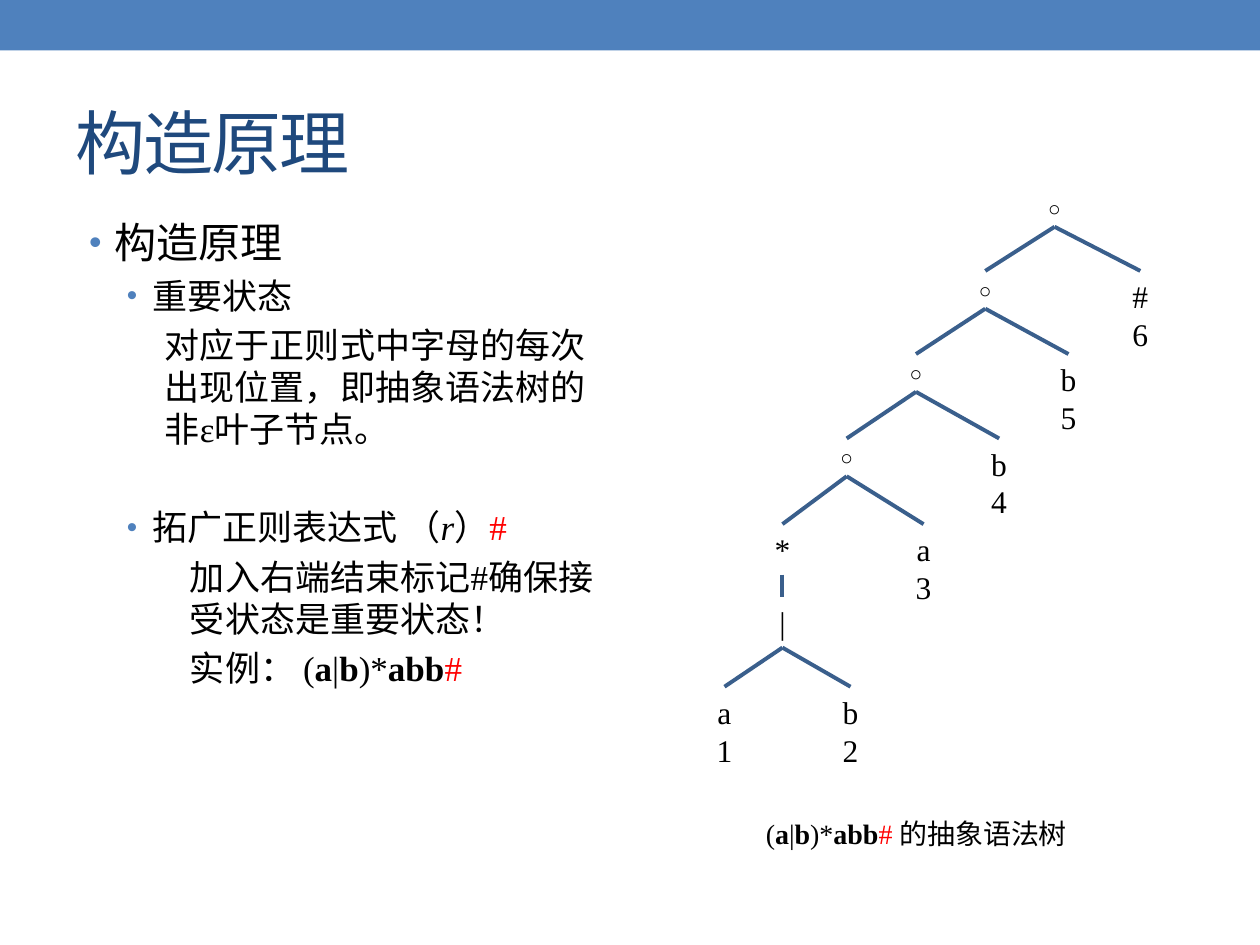
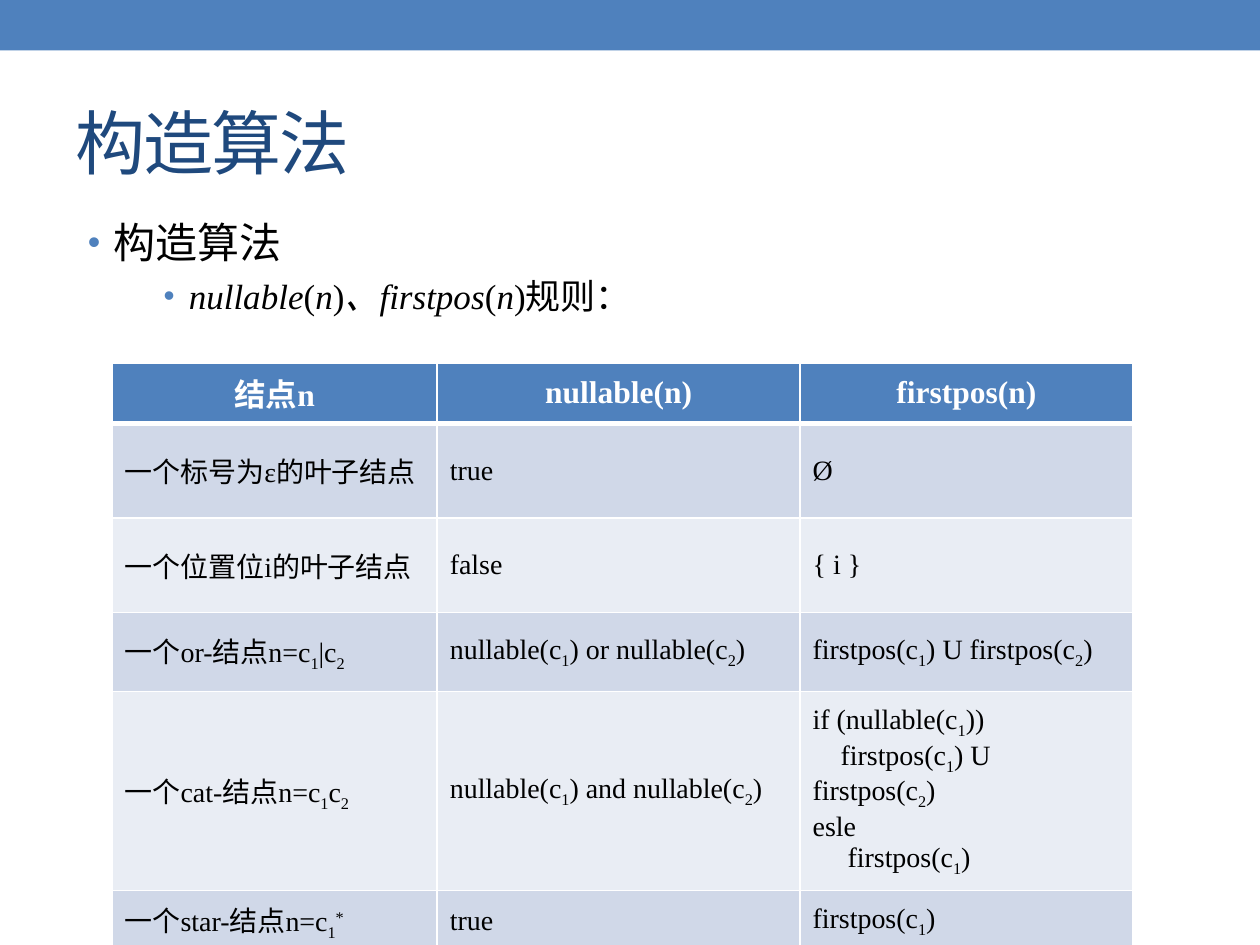
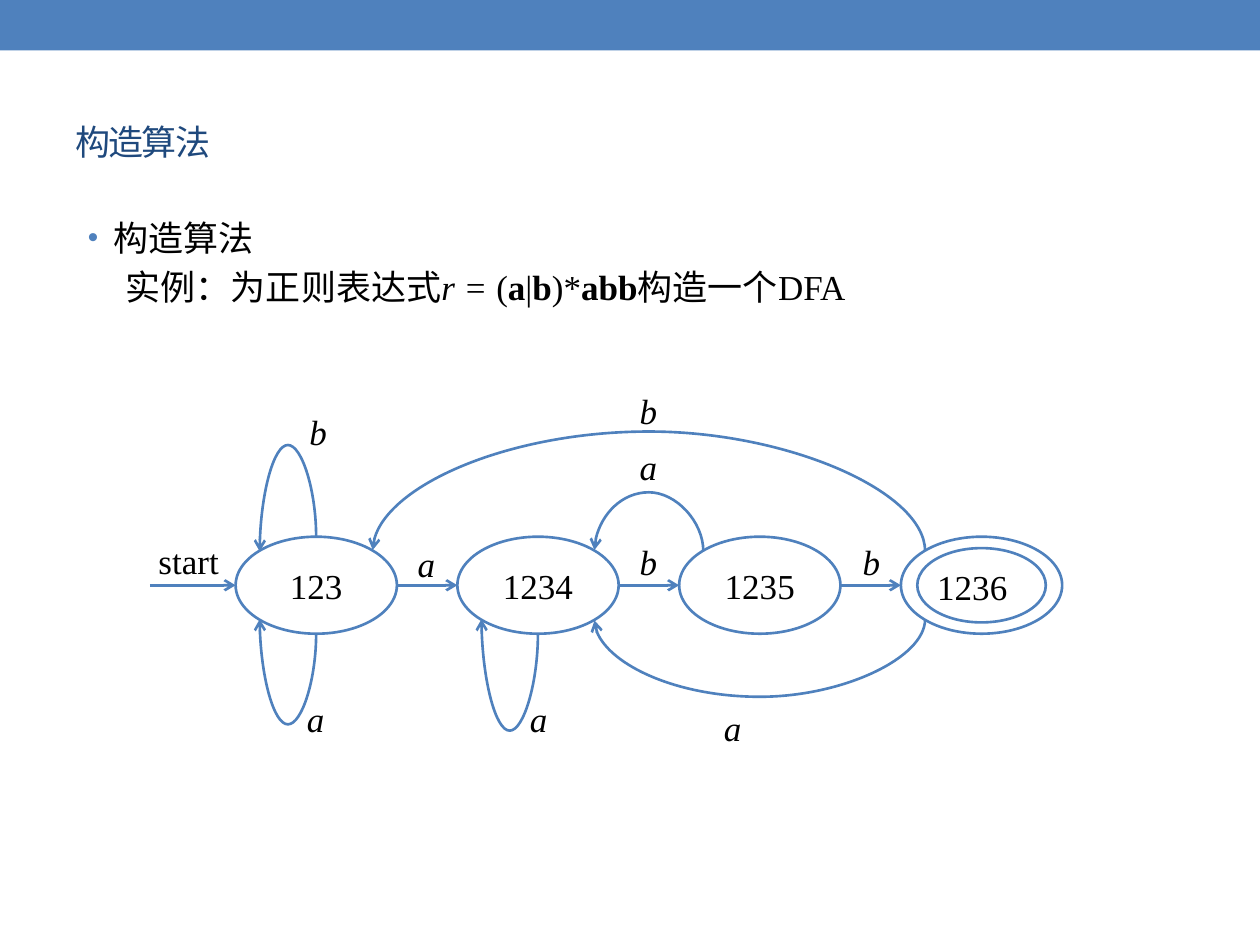
from dataclasses import dataclass

from lxml.etree import SubElement
from pptx import Presentation
from pptx.dml.color import RGBColor
from pptx.enum.shapes import MSO_CONNECTOR, MSO_SHAPE
from pptx.enum.text import MSO_ANCHOR, PP_ALIGN
from pptx.oxml.ns import qn
from pptx.util import Inches, Pt


@dataclass(frozen=True)
class Theme:
    accent: str = "4F81BD"
    title: str = "1F497D"
    text: str = "000000"
    mark: str = "FF0000"
    branch: str = "3A5F8C"
    white: str = "FFFFFF"
    rows: tuple = ("D0D8E8", "E9EDF4")
    latin: str = "Times New Roman"
    cjk: str = "Noto Sans CJK SC"
    title_size: int = 40
    heading: int = 24
    body: int = 20
    node: int = 18
    small: int = 16
    dot: int = 12
    leading: float = 1.2
    gap: float = 4.2
    wide_gap: float = 32


T = Theme()

REGEX = [("(", ""), ("a", "b"), ("|", ""), ("b", "b"), (")*", ""), ("abb", "b")]

PRINCIPLE = [
    (0.2, 85, T.heading, 0, "构造原理"),
    (0.5, 85, T.body, T.gap, "重要状态"),
    (0.6, 0, T.body, T.gap, "对应于正则式中字母的每次出现位置，即抽象语法树的非ε叶子节点。"),
    (0.5, 85, T.body, T.wide_gap,
     [("拓广正则表达式 （", ""), ("r", "i"), ("）", ""), ("#", "r")]),
    (0.8, 0, T.body, T.gap, "加入右端结束标记#确保接受状态是重要状态！"),
    (0.8, 0, T.body, T.gap, [("实例： ", ""), *REGEX, ("#", "r")]),
]
CAPTION = [*REGEX, ("# ", "r"), ("的抽象语法树", "")]

TREE = {
    "cat6": ("○", 8.37, 1.5, ["cat5", "end6"]),
    "cat5": ("○", 7.82, 2.15, ["cat4", "b5"]),
    "cat4": ("○", 7.27, 2.81, ["cat3", "b4"]),
    "cat3": ("○", 6.72, 3.48, ["star", "a3"]),
    "star": ("*", 6.21, 4.16, ["or"]),
    "or": ("|", 6.21, 4.74, ["a1", "b2"]),
    "a1": ("a\n1", 5.75, 5.45, []),
    "b2": ("b\n2", 6.75, 5.45, []),
    "a3": ("a\n3", 7.33, 4.16, []),
    "b4": ("b\n4", 7.93, 3.48, []),
    "b5": ("b\n5", 8.48, 2.81, []),
    "end6": ("#\n6", 9.05, 2.15, []),
}

RULES_INTRO = [
    (0.2, 85, T.heading, 0, "构造算法"),
    (0.8, 90, T.body, T.gap,
     [("nullable", "i"), ("(", ""), ("n", "i"), (")", ""), ("、firstpos", "i"),
      ("(", ""), ("n", "i"), (")规则：", "")]),
]
RULES = [
    ("结点n", "nullable(n)", "firstpos(n)"),
    ("一个标号为ε的叶子结点", "true", "Ø"),
    ("一个位置位i的叶子结点", "false", "{ i }"),
    ("一个or-结点n=c_1|c_2", "nullable(c_1) or nullable(c_2)", "firstpos(c_1) U firstpos(c_2)"),
    ("一个cat-结点n=c_1c_2", "nullable(c_1) and nullable(c_2)",
     "if (nullable(c_1))\n    firstpos(c_1) U firstpos(c_2)\nesle\n     firstpos(c_1)"),
    ("一个star-结点n=c_1^*", "true", "firstpos(c_1)"),
]
RULE_COLS = [2.58, 2.88, 2.64]
RULE_ROWS = [0.48, 0.75, 0.75, 0.63, 1.48, 0.48]

EXAMPLE = [
    (0.2, 85, T.body, 0, "构造算法"),
    (0.3, 0, T.body, T.gap,
     [("实例：为正则表达式", ""), ("r = ", "i"), *REGEX, ("构造一个DFA", "")]),
]
STATES = ["123", "1234", "1235", ""]
STATE_X, STATE_Y, STATE_STEP, STATE_W, STATE_H = 1.87, 4.26, 1.76, 1.28, 0.77
PORTS = {"top": (0, -0.5), "bottom": (0, 0.5), "tl": (-0.35, -0.35),
         "tr": (0.35, -0.35), "bl": (-0.35, 0.35), "br": (0.35, 0.35)}
ARCS = [
    (3, "tl", 0, "tr", 3.41),
    (0, "top", 0, "tl", 3.53),
    (0, "bottom", 0, "bl", 5.75),
    (1, "bottom", 1, "bl", 5.8),
    (2, "tl", 1, "tr", 3.9),
    (3, "bl", 1, "br", 5.54),
]
EDGE_LABELS = [
    ("b", 2.35, 3.21), ("b", 4.97, 3.04), ("b", 6.74, 4.24), ("b", 4.97, 4.24),
    ("a", 3.21, 4.26), ("a", 4.97, 3.49), ("a", 4.1, 5.49), ("a", 2.33, 5.49),
    ("a", 5.64, 5.56),
]


def rgb(color):
    return RGBColor.from_string(color)


def box(at):
    return [Inches(v) for v in at]


def write(p, runs, size, color=T.text, bold=False, latin=T.latin):
    for text, style in [(runs, "")] if isinstance(runs, str) else runs:
        r = p.add_run()
        r.text = text
        r.font.size = Pt(size)
        r.font.name = latin
        r.font.bold = bold or "b" in style
        r.font.italic = "i" in style
        r.font.color.rgb = rgb(T.mark if "r" in style else color)
        rPr = r._r.get_or_add_rPr()
        SubElement(rPr, qn("a:ea")).set("typeface", T.cjk)
        if style in ("_", "^"):
            rPr.set("baseline", "-25000" if style == "_" else "30000")


def write_lines(tf, text, size, align=None, **font):
    for i, line in enumerate(text.split("\n")):
        p = tf.add_paragraph() if i else tf.paragraphs[0]
        p.alignment = align
        write(p, scripted(line), size, **font)


def scripted(text):
    head, *rest = text.split("_")
    runs = [(head, "")]
    for part in rest:
        tail = part[1:]
        runs.append((part[0], "_"))
        if tail:
            runs.append((tail[1:], "^") if tail.startswith("^") else (tail, ""))
    return runs


def textbox(s, *at):
    sp = s.shapes.add_textbox(*box(at))
    sp.text_frame.word_wrap = True
    return sp


def label(s, at, runs, size, align=None):
    p = textbox(s, *at).text_frame.paragraphs[0]
    p.alignment = align
    write(p, runs, size)


def shape(s, kind, at, fill=None, line=None):
    sp = s.shapes.add_shape(kind, *box(at))
    sp.shadow.inherit = False
    if fill:
        sp.fill.solid()
        sp.fill.fore_color.rgb = rgb(fill)
    else:
        sp.fill.background()
    if line:
        sp.line.color.rgb = rgb(line)
        sp.line.width = Pt(1.5)
    else:
        sp.line.fill.background()
    return sp


def connector(s, kind, at, color, width, arrow=False):
    c = s.shapes.add_connector(kind, *box(at))
    c.line.color.rgb = rgb(color)
    c.line.width = Pt(width)
    if arrow:
        SubElement(c.line._get_or_add_ln(), qn("a:tailEnd")).set("type", "arrow")
    SubElement(c._element.spPr, qn("a:effectLst"))
    return c


def start_slide(prs, title, size=T.title_size, latin=T.latin):
    s = prs.slides.add_slide(prs.slide_layouts[6])
    shape(s, MSO_SHAPE.RECTANGLE, (0, 0, 10, 0.4), fill=T.accent)
    tf = textbox(s, 0.5, 0.58, 9, 1.08).text_frame
    tf.vertical_anchor = MSO_ANCHOR.MIDDLE
    p = tf.paragraphs[0]
    write(p, title, size, T.title, latin=latin)
    p.runs[0]._r.rPr.set("spc", "-100")
    return s


def body(s, at, items):
    tf = textbox(s, *at).text_frame
    for i, (left, bullet, size, before, runs) in enumerate(items):
        p = tf.add_paragraph() if i else tf.paragraphs[0]
        pPr = p._p.get_or_add_pPr()
        pPr.set("marL", str(Inches(left)))
        pPr.set("indent", str(Inches(-0.2 if bullet else 0)))
        if bullet:
            clr = SubElement(pPr, qn("a:buClr"))
            SubElement(clr, qn("a:srgbClr")).set("val", T.accent)
            SubElement(pPr, qn("a:buSzPct")).set("val", str(bullet * 1000))
            SubElement(pPr, qn("a:buFont")).set("typeface", "Arial")
            SubElement(pPr, qn("a:buChar")).set("char", "•")
        p.line_spacing = Pt(size * T.leading)
        p.space_before = Pt(before)
        write(p, runs, size)


def syntax_tree(s):
    nodes = {}
    for name, (text, x, top, _) in TREE.items():
        size = T.dot if text == "○" else T.node
        height = 0.3 if text == "○" else 0.71 if "\n" in text else 0.4
        nodes[name] = textbox(s, x - 0.27, top, 0.54, height)
        write_lines(nodes[name].text_frame, text, size, PP_ALIGN.CENTER)
    for name, (_, _, _, children) in TREE.items():
        for child in children:
            c = connector(s, MSO_CONNECTOR.STRAIGHT, (0, 0, 1, 1), T.branch, 2.25)
            c.begin_connect(nodes[name], 2)
            c.end_connect(nodes[child], 0)


def cell_borders(cell, header):
    tcPr = cell._tc.get_or_add_tcPr()
    for i, side in enumerate(("lnL", "lnR", "lnT", "lnB")):
        width = 3 if header and side == "lnB" else 1
        ln = tcPr.makeelement(qn(f"a:{side}"), {"w": str(Pt(width))})
        fill = SubElement(ln, qn("a:solidFill"))
        SubElement(fill, qn("a:srgbClr")).set("val", T.white)
        tcPr.insert(i, ln)


def rules_table(s):
    at = (0.89, 2.88, sum(RULE_COLS), sum(RULE_ROWS))
    tbl = s.shapes.add_table(len(RULES), len(RULE_COLS), *box(at)).table
    for col, width in zip(tbl.columns, RULE_COLS):
        col.width = Inches(width)
    for i, (row, height) in enumerate(zip(RULES, RULE_ROWS)):
        tbl.rows[i].height = Inches(height)
        header = i == 0
        for j, text in enumerate(row):
            cell = tbl.cell(i, j)
            cell.vertical_anchor = MSO_ANCHOR.MIDDLE
            cell.fill.solid()
            cell.fill.fore_color.rgb = rgb(T.accent if header else T.rows[(i - 1) % 2])
            cell_borders(cell, header)
            if header:
                write_lines(cell.text_frame, text, T.node, PP_ALIGN.CENTER,
                            color=T.white, bold=True)
            else:
                write_lines(cell.text_frame, text, T.small)


def port(state, name):
    dx, dy = PORTS[name]
    return (STATE_X + state * STATE_STEP + (0.5 + dx) * STATE_W,
            STATE_Y + (0.5 + dy) * STATE_H)


def arc(s, start, start_port, end, end_port, peak):
    x1, y1 = port(start, start_port)
    x2, y2 = port(end, end_port)
    up = peak < y1
    if abs(y2 - y1) < 0.01:
        y2 = y1 + (-0.01 if up else 0.01)
    w, h = abs(y2 - y1), x1 - x2
    left, top = (x1 + x2 - w) / 2, (y1 + y2 - h) / 2
    c = connector(s, MSO_CONNECTOR.CURVE, (left, top, left + w, top + h), T.accent, 1.5, True)
    xfrm = c._element.spPr.find(qn("a:xfrm"))
    xfrm.set("rot", str((270 if up else 90) * 60000))
    if up:
        xfrm.set("flipV", "1")
    if (y2 > y1) == up:
        xfrm.set("flipH", "1")
    gd = SubElement(c._element.spPr.find(".//" + qn("a:avLst")), qn("a:gd"))
    gd.set("name", "adj1")
    gd.set("fmla", f"val {round((peak - y1) / (y2 - y1) * 100000)}")


def automaton(s):
    mid = STATE_Y + STATE_H / 2
    for i, name in enumerate(STATES):
        x = STATE_X + i * STATE_STEP
        sp = shape(s, MSO_SHAPE.OVAL, (x, STATE_Y, STATE_W, STATE_H), line=T.accent)
        if name:
            write_lines(sp.text_frame, name, T.body, PP_ALIGN.CENTER)
        tail = x - STATE_STEP + STATE_W if i else 1.19
        connector(s, MSO_CONNECTOR.STRAIGHT, (tail, mid, x, mid), T.accent, 1.5, True)
    shape(s, MSO_SHAPE.OVAL, (7.28, 4.35, 1.02, 0.59), line=T.accent)
    for a in ARCS:
        arc(s, *a)
    for text, x, y in EDGE_LABELS:
        label(s, (x, y, 0.35, 0.44), [(text, "i")], T.body, PP_ALIGN.CENTER)
    label(s, (1.16, 4.23, 0.76, 0.44), "start", T.body)
    label(s, (7.34, 4.44, 1.43, 0.44), "1236", T.body)


def main():
    prs = Presentation()
    prs.slide_width, prs.slide_height = Inches(10), Inches(7.5)

    s = start_slide(prs, "构造原理")
    body(s, (0.61, 1.67, 4.36, 5.33), PRINCIPLE)
    syntax_tree(s)
    label(s, (5.98, 6.43, 2.8, 0.37), CAPTION, T.small)

    s = start_slide(prs, "构造算法", latin=T.cjk)
    body(s, (0.6, 1.67, 8.17, 1.51), RULES_INTRO)
    rules_table(s)

    s = start_slide(prs, "构造算法", T.body)
    body(s, (0.6, 1.67, 8.17, 5.1), EXAMPLE)
    automaton(s)

    prs.save("out.pptx")


if __name__ == "__main__":
    main()
